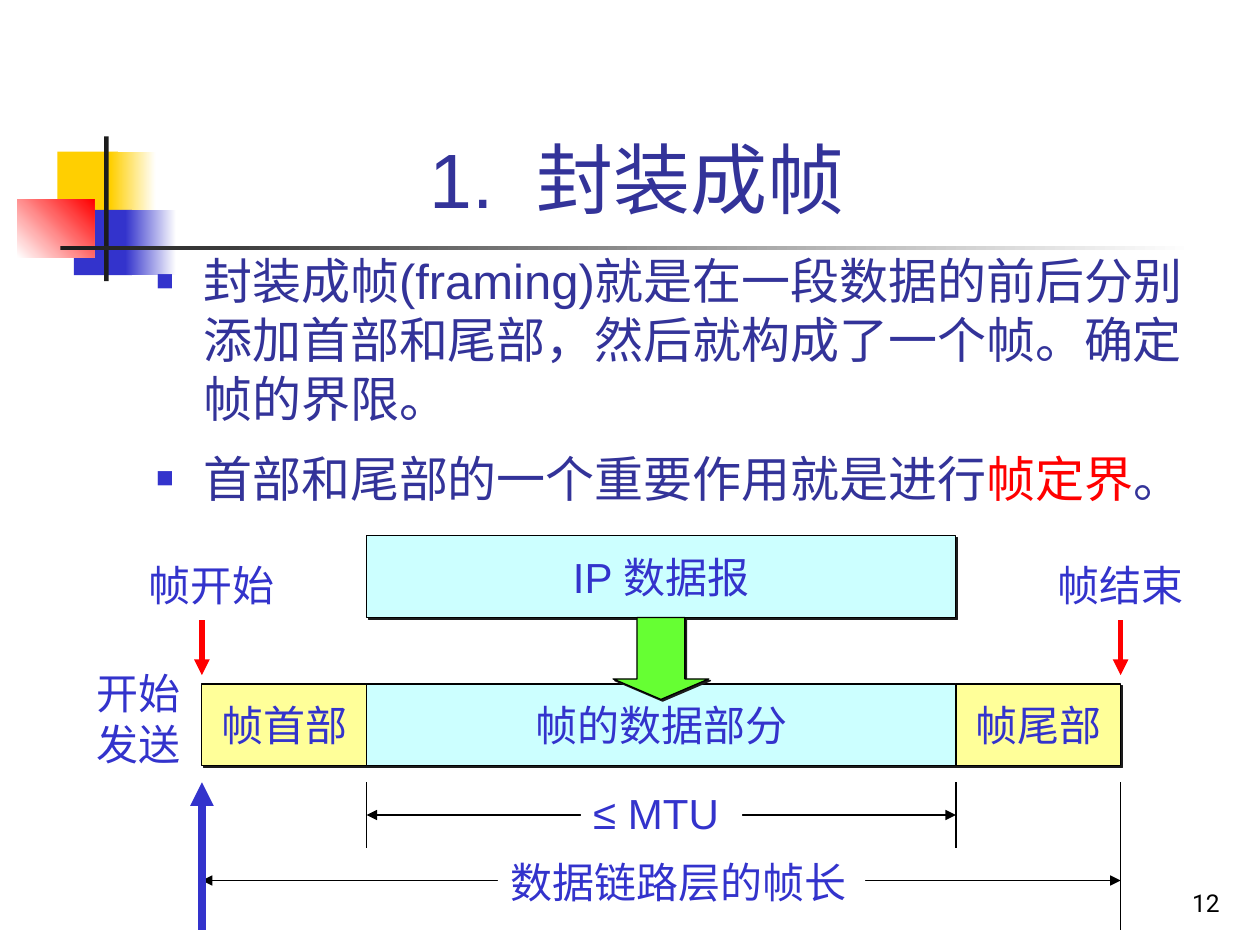
from lxml import etree
from pptx import Presentation
from pptx import util as u
from pptx.dml import color
from pptx.enum import shapes, text
from pptx.oxml import ns

COLORS = {
    "ink": "333399", "blue": "3333CC", "red": "FF0000", "gold": "FFCF01",
    "dark": "1C1C1C", "black": "000000", "white": "FFFFFF",
    "cyan": "CCFFFF", "yellow": "FFFF99", "green": "66FF33",
}


def rgb(name):
    return color.RGBColor.from_string(COLORS[name])


def sub(parent, tag, **attributes):
    return etree.SubElement(parent, ns.qn(tag), attributes)


def add_run(paragraph, words, size, tint, font="Arial"):
    run = paragraph.add_run()
    run.text = words
    run.font.size = u.Pt(size)
    run.font.name = font
    run.font.color.rgb = rgb(tint)
    sub(run._r.get_or_add_rPr(), "a:ea", typeface=font)
    return run


def add_panel(slide, box, fill, kind=shapes.MSO_SHAPE.RECTANGLE, end=None, angle=0):
    panel = slide.shapes.add_shape(kind, *map(u.Cm, box))
    panel.shadow.inherit = False
    panel.line.fill.background()
    if end:
        panel.fill.gradient()
        panel.fill.gradient_angle = angle
        for stop, tint, position in zip(panel.fill.gradient_stops, (fill, end), (0, 1)):
            stop.color.rgb = rgb(tint)
            stop.position = position
    else:
        panel.fill.solid()
        panel.fill.fore_color.rgb = rgb(fill)
    return panel


def outline(panel):
    panel.line.color.rgb = rgb("black")
    panel.line.width = u.Pt(0.75)
    effects = panel._element.spPr.find(ns.qn("a:effectLst"))
    shadow = sub(effects, "a:outerShdw", dist=str(u.Pt(1.4)), dir="2700000",
                 algn="ctr", rotWithShape="0")
    sub(shadow, "a:srgbClr", val=COLORS["dark"])


def add_field(slide, box, words, fill):
    field = add_panel(slide, box, fill)
    outline(field)
    frame = field.text_frame
    frame.word_wrap = False
    frame.vertical_anchor = text.MSO_ANCHOR.MIDDLE
    frame.paragraphs[0].alignment = text.PP_ALIGN.CENTER
    add_run(frame.paragraphs[0], words, 24, "blue")


def add_label(slide, box, *lines):
    label = add_panel(slide, box, "white")
    frame = label.text_frame
    frame.word_wrap = False
    frame.auto_size = text.MSO_AUTO_SIZE.SHAPE_TO_FIT_TEXT
    frame.vertical_anchor = text.MSO_ANCHOR.TOP
    for index, words in enumerate(lines):
        paragraph = frame.add_paragraph() if index else frame.paragraphs[0]
        paragraph.alignment = text.PP_ALIGN.LEFT
        add_run(paragraph, words, 24, "blue")


def add_rule(slide, start, finish, tint="black", width=0.75, ends=()):
    rule = slide.shapes.add_connector(
        shapes.MSO_CONNECTOR.STRAIGHT, *map(u.Cm, (*start, *finish)))
    rule.line.color.rgb = rgb(tint)
    rule.line.width = u.Pt(width)
    for end in ends:
        sub(rule.line._get_or_add_ln(), f"a:{end}", type="triangle")
    sub(rule._element.spPr, "a:effectLst")


def add_text_area(slide, box, anchor, alignment):
    frame = slide.shapes.add_textbox(*map(u.Cm, box)).text_frame
    frame.word_wrap = True
    frame.vertical_anchor = anchor
    frame.paragraphs[0].alignment = alignment
    return frame


def draw_ornament(slide, left, top):
    parts = [
        ((0.81, 0.31, 1.22, 1.32), "gold", None, 0),
        ((1.88, 0.31, 0.91, 1.32), "gold", "white", 0),
        ((1.14, 1.48, 1.17, 1.32), "blue", None, 0),
        ((2.18, 1.48, 1.02, 1.32), "blue", "white", 0),
        ((0, 1.27, 1.55, 1.17), "white", "red", 45),
        ((1.75, 0, 0.09, 2.92), "dark", None, 0),
        ((0.87, 2.21, 22.86, 0.09), "dark", "white", 0),
    ]
    for (x, y, width, height), fill, end, angle in parts:
        add_panel(slide, (left + x, top + y, width, height), fill, end=end, angle=angle)


def draw_title(slide, box):
    frame = add_text_area(slide, box, text.MSO_ANCHOR.BOTTOM, text.PP_ALIGN.CENTER)
    heading = frame.paragraphs[0]
    add_run(heading, "1.", 44, "ink")
    gap = add_run(heading, " ", 44, "ink")
    gap._r.get_or_add_rPr().set("spc", "1200")
    add_run(heading, "封装成帧", 44, "ink")


def draw_points(slide, box):
    frame = add_text_area(slide, box, text.MSO_ANCHOR.TOP, text.PP_ALIGN.LEFT)
    points = [
        [("封装成帧(framing)就是在一段数据的前后分别添加首部和尾部，"
          "然后就构成了一个帧。确定帧的界限。", "ink")],
        [("首部和尾部的一个重要作用就是进行", "ink"), ("帧定界", "red"), ("。", "ink")],
    ]
    indent = u.Cm(0.95)
    for index, runs in enumerate(points):
        point = frame.add_paragraph() if index else frame.paragraphs[0]
        point.space_before = u.Pt(12 if index else 0)
        properties = point._p.get_or_add_pPr()
        properties.set("marL", str(indent))
        properties.set("indent", str(-indent))
        sub(sub(properties, "a:buClr"), "a:srgbClr", val=COLORS["blue"])
        sub(properties, "a:buSzPct", val="60000")
        sub(properties, "a:buFont", typeface="Arial")
        sub(properties, "a:buChar", char="■")
        for words, tint in runs:
            add_run(point, words, 28, tint)


def draw_frame(slide, left, top, width):
    side, height = 3.32, 1.65
    data_width = width - 2 * side
    data_left = left + side
    data_right = data_left + data_width
    right = left + width
    frame_top = top + 2.99
    guide_top = top + 4.97
    mtu_y, length_y, bottom = top + 5.63, top + 6.95, top + 7.95

    add_field(slide, (left, frame_top, side, height), "帧首部", "yellow")
    add_field(slide, (data_left, top, data_width, height), "IP 数据报", "cyan")
    add_field(slide, (data_left, frame_top, data_width, height), "帧的数据部分", "cyan")
    add_field(slide, (data_right, frame_top, side, height), "帧尾部", "yellow")

    both = ("headEnd", "tailEnd")
    add_rule(slide, (data_left, mtu_y), (data_right, mtu_y), ends=both)
    add_rule(slide, (left, length_y), (right, length_y), ends=both)
    add_rule(slide, (left, guide_top), (left, bottom), "blue", 4.5, ["headEnd"])
    add_rule(slide, (right, guide_top), (right, bottom))
    for x in (data_left, data_right):
        add_rule(slide, (x, guide_top), (x, top + 6.29))

    add_label(slide, (left + 7.64, top + 4.95, 3.25, 1.27), "≤ MTU")
    add_label(slide, (left + 5.97, top + 6.35, 7.4, 1.27), "数据链路层的帧长")
    arrow = add_panel(slide, (left + 8.29, top + height, 1.93, 1.65), "green",
                      shapes.MSO_SHAPE.DOWN_ARROW)
    arrow.adjustments[0] = 0.5
    arrow.adjustments[1] = 0.25
    outline(arrow)
    add_label(slide, (left - 2.37, top + 2.54, 2.3, 2.29), "开始", "发送")
    for x, label_x, words in ((left, left - 1.33, "帧开始"), (right, right - 1.52, "帧结束")):
        add_rule(slide, (x, top + 2.81), (x, top + 1.7), "red", 3, ["headEnd"])
        add_label(slide, (label_x, top + 0.35, 3.1, 1.27), words)


def draw_page_number(slide, box):
    frame = add_text_area(slide, box, text.MSO_ANCHOR.BOTTOM, text.PP_ALIGN.RIGHT)
    add_run(frame.paragraphs[0], "12", 14, "black", "Roboto")


def main():
    deck = Presentation()
    deck.slide_width, deck.slide_height = u.Cm(25.4), u.Cm(19.05)
    slide = deck.slides.add_slide(deck.slide_layouts[6])
    draw_ornament(slide, 0.35, 2.75)
    draw_page_number(slide, (19.56, 17.35, 5.28, 1.27))
    draw_title(slide, (3.2, 0.58, 19.3, 4.06))
    draw_points(slide, (2.9, 4.93, 21.59, 11.43))
    draw_frame(slide, 4.07, 10.8, 18.52)
    deck.save("out.pptx")


if __name__ == "__main__":
    main()
